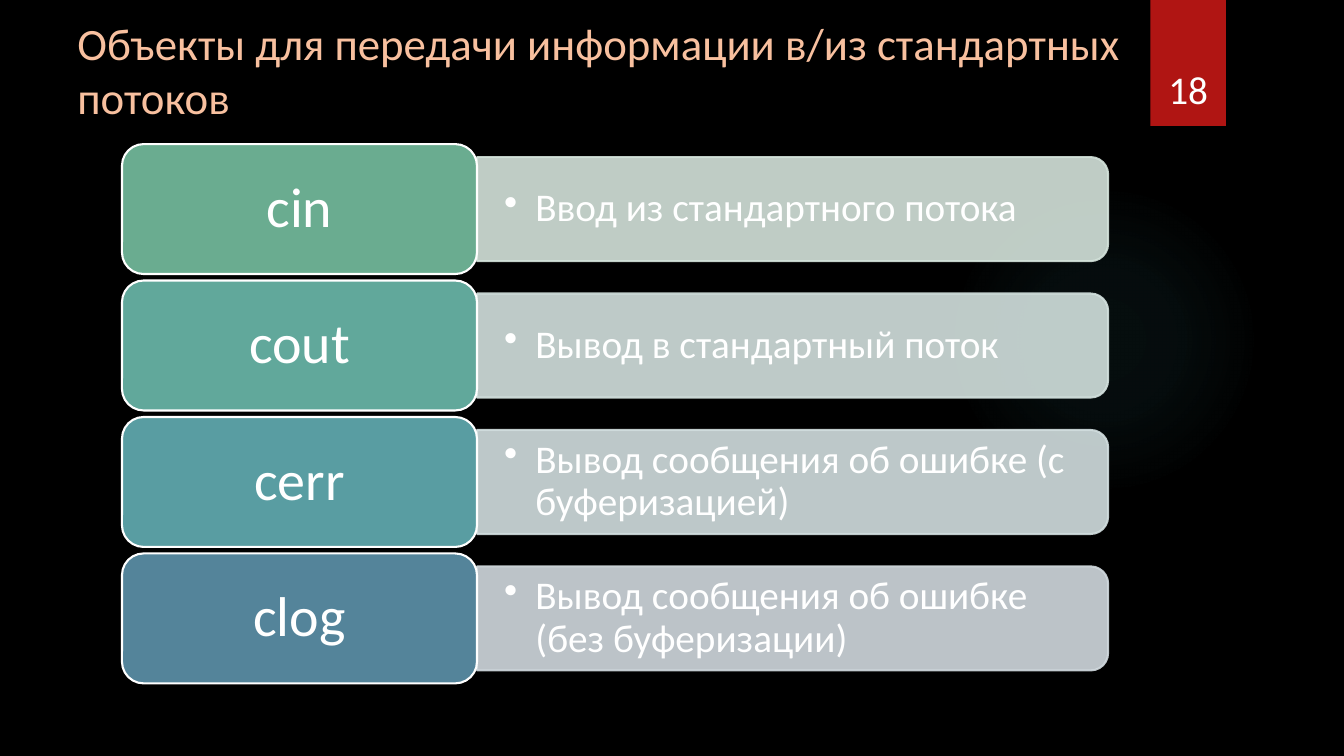
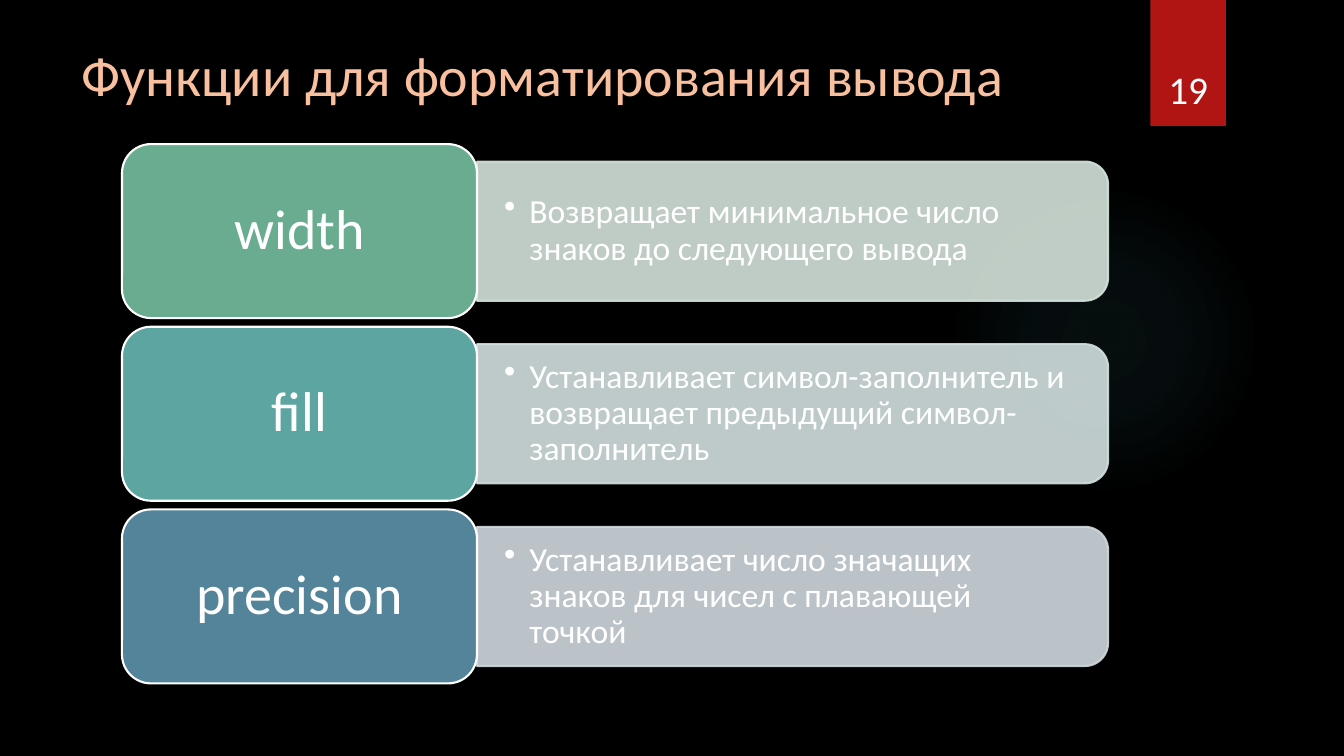
from dataclasses import dataclass

from lxml import etree
from pptx import Presentation
from pptx.dml.color import RGBColor
from pptx.enum.shapes import MSO_SHAPE
from pptx.enum.text import MSO_ANCHOR, PP_ALIGN
from pptx.oxml import parse_xml
from pptx.oxml.ns import nsdecls, qn
from pptx.util import Inches, Pt

OVAL = MSO_SHAPE.OVAL
RECT = MSO_SHAPE.RECTANGLE
ROUND = MSO_SHAPE.ROUNDED_RECTANGLE
TAB = MSO_SHAPE.ROUND_2_SAME_RECTANGLE
LEFT, CENTER = PP_ALIGN.LEFT, PP_ALIGN.CENTER
MIDDLE, BOTTOM = MSO_ANCHOR.MIDDLE, MSO_ANCHOR.BOTTOM


@dataclass(frozen=True)
class Theme:
    font: str = "Calibri"
    back: str = "000000"
    text: str = "FFFFFF"
    title: str = "F8C09F"
    flag: str = "B01513"
    glow: str = "50B9C1"
    label: int = 40
    number: int = 28
    edge: float = 1.5
    veil: int = 90


THEME = Theme()
LIST_BOX = (1.21, 1.43, 9.78, 5.35)
FLAG_BOX = (11.41, 0, 0.75, 1.25)
GLOW_BOX = (9.41, 1.83, 3.08, 3.08)

SLIDES = [
    dict(
        number=18,
        title="Объекты для передачи информации в/из стандартных потоков",
        title_box=(0.67, 0.11, 11.03, 1.16),
        title_size=32,
        note_size=28,
        indent=0.31,
        rows=[
            ("cin", "Ввод из стандартного потока", "6AAC90", "D4E3DB"),
            ("cout", "Вывод в стандартный поток", "61A89B", "D3E1DE"),
            ("cerr", "Вывод сообщения об ошибке (с буферизацией)",
             "599DA2", "D2DEDF"),
            ("clog", "Вывод сообщения об ошибке (без буферизации)",
             "54849A", "D1D9DE"),
        ],
    ),
    dict(
        number=19,
        title="Функции для форматирования вывода",
        title_box=(0.71, 0.32, 10.29, 0.84),
        title_size=40,
        note_size=24,
        indent=0.25,
        rows=[
            ("width", "Возвращает минимальное число знаков до следующего вывода",
             "6AAC90", "D4E3DB"),
            ("fill", "Устанавливает символ-заполнитель и возвращает "
             "предыдущий символ-заполнитель", "5DA5A1", "D2E0DF"),
            ("precision", "Устанавливает число значащих знаков для чисел "
             "с плавающей точкой", "54849A", "D1D9DE"),
        ],
    ),
]


def inches(box):
    return [Inches(side) for side in box]


def add_form(slide, kind, box, fill, line=None):
    form = slide.shapes.add_shape(kind, *inches(box))
    form.shadow.inherit = False
    form.fill.solid()
    form.fill.fore_color.rgb = RGBColor.from_string(fill)
    if line:
        form.line.color.rgb = RGBColor.from_string(line)
        form.line.width = Pt(THEME.edge)
    else:
        form.line.fill.background()
    return form


def add_veil(form):
    """Make the fill and line of a shape slightly transparent."""
    for color in form.element.spPr.iter(qn("a:srgbClr")):
        etree.SubElement(color, qn("a:alpha"), val=str(THEME.veil * 1000))


def write(form, text, size, color=THEME.text, align=LEFT, anchor=MIDDLE,
          pad=(0.1, 0.05), indent=0, space=1.0):
    """Fill a shape with one paragraph, bulleted if it has an indent."""
    frame = form.text_frame
    frame.word_wrap = True
    frame.vertical_anchor = anchor
    frame.margin_left = frame.margin_right = Inches(pad[0])
    frame.margin_top = frame.margin_bottom = Inches(pad[1])
    para = frame.paragraphs[0]
    para.text = text
    para.alignment = align
    para.line_spacing = space
    if indent:
        props = para._p.get_or_add_pPr()
        props.set("marL", str(Inches(indent)))
        props.set("indent", str(-Inches(indent)))
        etree.SubElement(props, qn("a:buChar"), char="•")
    para.font.name = THEME.font
    para.font.size = Pt(size)
    para.font.color.rgb = RGBColor.from_string(color)


def add_text(slide, box, text, size, **style):
    write(slide.shapes.add_textbox(*inches(box)), text, size, **style)


def add_glow(slide, box):
    form = add_form(slide, OVAL, box, THEME.glow)
    stops = "".join(
        f'<a:gs pos="{place * 1000}"><a:srgbClr val="{THEME.glow}">'
        f'<a:alpha val="{alpha * 1000}"/></a:srgbClr></a:gs>'
        for place, alpha in ((0, 7), (36, 6), (69, 0)))
    fade = parse_xml(
        f'<a:gradFill {nsdecls("a")}><a:gsLst>{stops}</a:gsLst>'
        '<a:path path="circle"><a:fillToRect l="50000" t="50000" '
        'r="50000" b="50000"/></a:path></a:gradFill>')
    props = form.element.spPr
    props.replace(props.find(qn("a:solidFill")), fade)


def add_flag(slide, box, number):
    left, top, width, height = box
    add_form(slide, RECT, box, THEME.flag)
    add_text(slide, (left - 0.09, top + 0.32, width + 0.18, height - 0.41),
             str(number), THEME.number, align=CENTER, anchor=BOTTOM)


def add_bar(slide, box, note, size, indent, fill):
    """Draw a bar rounded on its right side, with a bulleted note."""
    left, top, width, height = box
    turned = (left + (width - height) / 2, top + (height - width) / 2,
              height, width)
    bar = add_form(slide, TAB, turned, fill, fill)
    bar.rotation = 90
    add_veil(bar)
    add_text(slide, (left, top + 0.05, width - 0.06, height - 0.1), note, size,
             pad=(0.27, 0.14), indent=indent, space=0.9)


def add_list(slide, box, rows, size, indent):
    left, top, width, height = box
    count = len(rows)
    tall = height / (count + 0.05 * (count - 1))
    wide = 0.36 * width
    for index, (name, note, fill, tint) in enumerate(rows):
        y = top + index * 1.05 * tall
        add_bar(slide, (left + wide, y + 0.1 * tall, width - wide, 0.8 * tall),
                note, size, indent, tint)
        pill = add_form(slide, ROUND, (left, y, wide, tall), fill, THEME.text)
        write(pill, name, THEME.label, align=CENTER, pad=(0.23, 0.14),
              space=0.9)


def add_slide(deck, page):
    slide = deck.slides.add_slide(deck.slide_layouts[6])
    slide.background.fill.solid()
    slide.background.fill.fore_color.rgb = RGBColor.from_string(THEME.back)
    add_glow(slide, GLOW_BOX)
    add_text(slide, page["title_box"], page["title"], page["title_size"],
             color=THEME.title)
    add_list(slide, LIST_BOX, page["rows"], page["note_size"], page["indent"])
    add_flag(slide, FLAG_BOX, page["number"])


def main():
    deck = Presentation()
    deck.slide_width, deck.slide_height = Inches(13.33), Inches(7.5)
    for page in SLIDES:
        add_slide(deck, page)
    deck.save("out.pptx")


if __name__ == "__main__":
    main()
